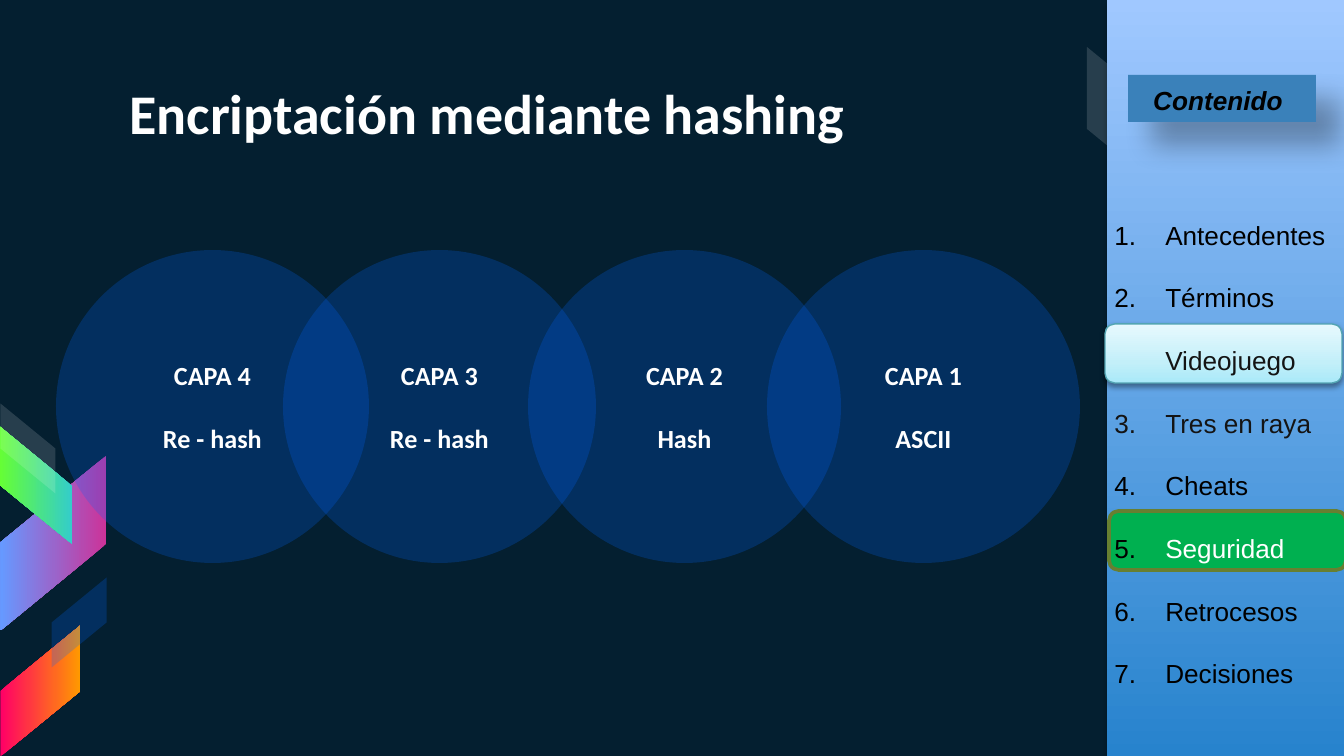
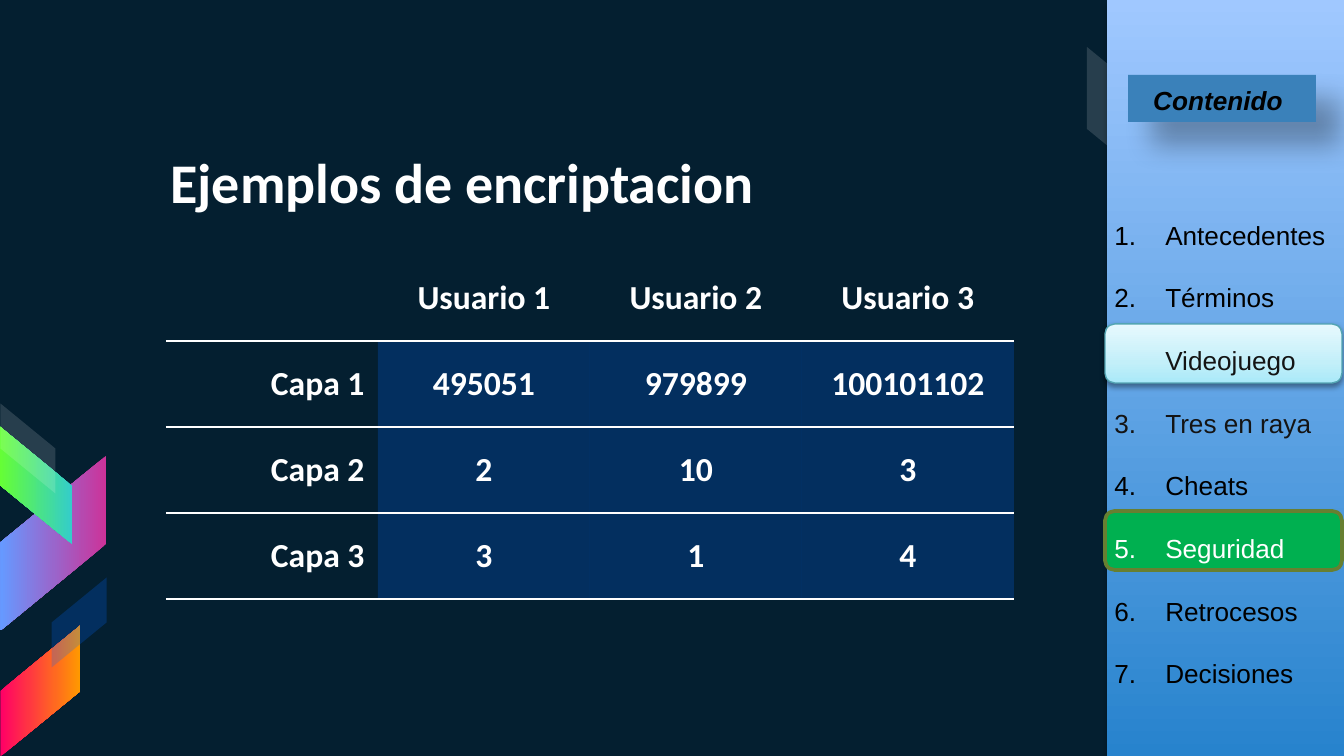
from lxml import etree
from pptx import Presentation
from pptx import util as u
from pptx.dml.color import RGBColor
from pptx.enum import shapes, text
from pptx.oxml.ns import qn

COLORS = {
    "night": "041F30", "white": "FFFFFF", "black": "000000", "ink": "141414",
    "blue": "0066FF", "label": "3A81BA", "green": "00B050", "olive": "677F31",
    "teal": "53A5B3",
}
GRADIENTS = {
    "violet": [(0, "CC3399"), (100, "6699FF")],
    "lime": [(0, "33CCCC"), (100, "66FF33")],
    "fire": [(0, "FF0066"), (100, "FF9900")],
    "panel": [(0, "2783CD"), (100, "A0C8FF")],
    "ice": [(0, "A9E9F9"), (35, "C3EFF9"), (100, "E7F9FE")],
}
RIBBONS = [
    ((1055, 79, 163, 99), 270, False, ("white", 14)),
    ((-34, 490, 175, 106), 90, True, "violet"),
    ((-23, 449, 118, 73), 90, False, "lime"),
    ((-25, 651, 131, 80), 270, True, "fire"),
    ((-17, 421, 90, 55), 270, False, ("white", 14)),
    ((34, 595, 90, 55), 270, True, ("blue", 23)),
]
CONTENTS_LABEL = "Contenido"
CONTENTS = [
    ("Antecedentes", 1, "black"),
    ("Términos", 1, "black"),
    ("Videojuego", None, "ink"),
    ("Tres en raya", 3, "ink"),
    ("Cheats", 3, "black"),
    ("Seguridad", 3, "white"),
    ("Retrocesos", 3, "black"),
    ("Decisiones", 3, "black"),
]
HASHING = {
    "title": "Encriptación mediante hashing", "at": (116, 65),
    "current_left": 1109, "current_number": "black",
}
LAYERS = [
    (56, ["CAPA 4", "Re - hash"]),
    (283, ["CAPA 3", "Re - hash"]),
    (528, ["CAPA 2", "Hash"]),
    (767, ["CAPA 1", "ASCII"]),
]
EXAMPLES = {
    "title": "Ejemplos de encriptacion", "at": (157, 134),
    "current_left": 1105, "current_number": "white",
}
ENCRYPTIONS = [
    ["", "Usuario 1", "Usuario 2", "Usuario 3"],
    ["Capa 1", "495051", "979899", "100101102"],
    ["Capa 2", "2", "10", "3"],
    ["Capa 3", "3", "1", "4"],
]
NO_STYLE = "{2D5ABB26-0587-4C30-8999-92F81FD0307C}"
SHAPE = shapes.MSO_SHAPE
ALIGN = text.PP_ALIGN


def px(*lengths):
    return [u.Emu(round(length * 914400 / 134.4)) for length in lengths]


def rgb(color):
    return RGBColor.from_string(COLORS[color])


def add_child(parent, tag, **attributes):
    return etree.SubElement(parent, qn(tag), attributes)


def paint(fill, holder, color, angle=270):
    if color in GRADIENTS:
        fill.gradient()
        fill.gradient_angle = 360 - angle
        stops = holder.find(".//" + qn("a:gsLst"))
        for stop in list(stops):
            stops.remove(stop)
        for position, value in GRADIENTS[color]:
            stop = add_child(stops, "a:gs", pos=str(position * 1000))
            add_child(stop, "a:srgbClr", val=value)
        return
    name, opacity = color if isinstance(color, tuple) else (color, 100)
    fill.solid()
    fill.fore_color.rgb = rgb(name)
    if opacity < 100:
        solid = holder.find(qn("a:solidFill"))
        add_child(solid[0], "a:alpha", val=str(opacity * 1000))


def add_block(slide, kind, box, color, angle=270, line=None, shadow=None):
    block = slide.shapes.add_shape(kind, *px(*box))
    block.shadow.inherit = False
    properties = block.element.spPr
    paint(block.fill, properties, color, angle)
    if line:
        block.line.color.rgb = rgb(line[0])
        block.line.width = u.Pt(line[1])
    else:
        block.line.fill.background()
    if shadow:
        opacity, blur, distance, direction = shadow
        outer = add_child(
            properties.find(qn("a:effectLst")), "a:outerShdw",
            blurRad=str(u.Pt(blur)), dist=str(u.Pt(distance)),
            dir=str(direction * 60000), algn="tl", rotWithShape="0")
        tint = add_child(outer, "a:srgbClr", val=COLORS["black"])
        add_child(tint, "a:alpha", val=str(opacity * 1000))
    return block


def style(paragraph, size, color="white", font="Calibri", bold=True,
          align=ALIGN.LEFT):
    paragraph.alignment = align
    paragraph.font.size = u.Pt(size)
    paragraph.font.name = font
    paragraph.font.bold = bold
    paragraph.font.color.rgb = rgb(color)


def add_lines(frame, lines):
    frame.text = "\n".join(lines)
    return frame.paragraphs


def number(paragraph, start, color):
    properties = paragraph._p.get_or_add_pPr()
    indent = px(51)[0]
    properties.set("marL", str(indent))
    properties.set("indent", str(-indent if start else 0))
    if start:
        add_child(add_child(properties, "a:buClr"), "a:srgbClr", val=COLORS[color])
        add_child(properties, "a:buFont", typeface="Arial")
        add_child(properties, "a:buAutoNum", type="arabicPeriod", startAt=str(start))
    else:
        add_child(properties, "a:buNone")


def add_sidebar(slide, topic):
    add_block(slide, SHAPE.RECTANGLE, (1107, 0, 237, 756), "panel",
              shadow=(32, 3.5, 2.2, 90))
    add_block(slide, SHAPE.ROUNDED_RECTANGLE, (topic["current_left"], 511, 237, 59),
              "green", line=("olive", 2))
    add_block(slide, SHAPE.ROUNDED_RECTANGLE, (1105, 324, 237, 59), "ice",
              line=("teal", 0.75), shadow=(38, 3.1, 1.6, 90))

    contents = slide.shapes.add_textbox(*px(1101, 181, 237, 552)).text_frame
    contents.word_wrap = True
    contents.margin_right = 0
    entries = add_lines(contents, [entry for entry, _, _ in CONTENTS])
    for paragraph, (_, start, color) in zip(entries, CONTENTS):
        paragraph.line_spacing = u.Pt(33.6)
        number(paragraph, start, topic["current_number"] if color == "white" else color)
        style(paragraph, 14, color, "Arial", False)

    add_block(slide, SHAPE.RECTANGLE, (1128, 75, 188, 47), "label",
              shadow=(30, 15, 18, 45))
    heading = slide.shapes.add_textbox(*px(1140, 78, 168, 46)).text_frame
    heading.word_wrap = True
    label = add_lines(heading, [CONTENTS_LABEL])[0]
    style(label, 14, "black", "Arial")
    label.font.italic = True


def add_ribbons(slide, layout):
    for box, rotation, flipped, color in RIBBONS:
        ribbon = add_block(slide, SHAPE.PARALLELOGRAM, box, color, 90)
        ribbon.adjustments[0] = 0.819
        ribbon.rotation = rotation
        if flipped:
            ribbon.element.spPr.find(qn("a:xfrm")).set("flipH", "1")
        layout.shapes.element.append(ribbon.element)


def add_title(slide, topic):
    title = slide.shapes.title
    title.left, title.top, title.width, title.height = px(*topic["at"], 878, 94)
    frame = title.text_frame
    frame.auto_size = text.MSO_AUTO_SIZE.NONE
    frame.vertical_anchor = text.MSO_ANCHOR.BOTTOM
    frame.margin_left = frame.margin_right = u.Inches(0.1)
    frame.margin_top = frame.margin_bottom = u.Inches(0.1)
    style(add_lines(frame, [topic["title"]])[0], 30)


def add_layers(slide):
    for left, lines in LAYERS:
        layer = add_block(slide, SHAPE.OVAL, (left, 250, 313, 313), ("blue", 23))
        layer.text_frame.vertical_anchor = text.MSO_ANCHOR.MIDDLE
        paragraphs = add_lines(layer.text_frame, lines)
        paragraphs[1].space_before = u.Pt(17)
        for paragraph in paragraphs:
            style(paragraph, 14, align=ALIGN.CENTER)


def add_rule(cell):
    properties = cell._tc.get_or_add_tcPr()
    rule = add_child(properties, "a:lnB", w=str(u.Pt(0.75)))
    add_child(add_child(rule, "a:solidFill"), "a:srgbClr", val=COLORS["white"])
    properties.insert(0, rule)


def add_encryptions(slide):
    size = len(ENCRYPTIONS)
    table = slide.shapes.add_table(
        size, size, *px(166, 255, 212 * size, 86 * size)).table
    table.first_row = table.horz_banding = False
    table._tbl.tblPr.find(qn("a:tableStyleId")).text = NO_STYLE
    for row, values in enumerate(ENCRYPTIONS):
        for column, value in enumerate(values):
            cell = table.cell(row, column)
            cell.vertical_anchor = text.MSO_ANCHOR.MIDDLE
            if row and column:
                paint(cell.fill, cell._tc.get_or_add_tcPr(), ("blue", 23))
            else:
                cell.fill.background()
            add_rule(cell)
            align = ALIGN.CENTER if column else ALIGN.RIGHT
            style(add_lines(cell.text_frame, [value])[0], 18, align=align)


def main():
    deck = Presentation()
    deck.slide_width, deck.slide_height = px(1344, 756)
    layout = deck.slide_layouts[5]
    layout.background.fill.solid()
    layout.background.fill.fore_color.rgb = rgb("night")

    hashing = deck.slides.add_slide(layout)
    add_ribbons(hashing, layout)
    add_title(hashing, HASHING)
    add_layers(hashing)
    add_sidebar(hashing, HASHING)

    examples = deck.slides.add_slide(layout)
    add_title(examples, EXAMPLES)
    add_encryptions(examples)
    add_sidebar(examples, EXAMPLES)

    deck.save("out.pptx")


if __name__ == "__main__":
    main()
